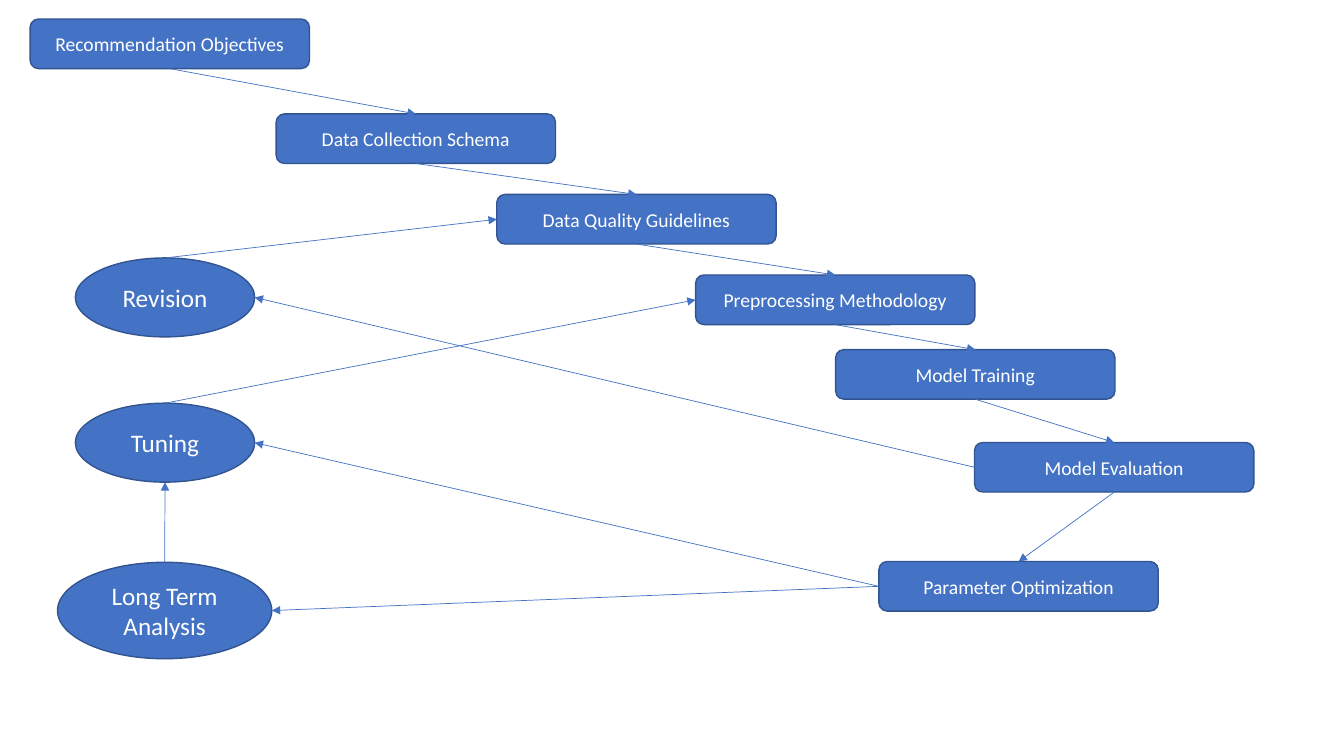
from lxml import etree
from pptx import Presentation
from pptx.dml.color import RGBColor
from pptx.enum.dml import MSO_LINE
from pptx.enum.shapes import MSO_CONNECTOR, MSO_SHAPE
from pptx.enum.text import MSO_ANCHOR, PP_ALIGN
from pptx.oxml.ns import qn
from pptx.util import Cm, Pt

STRAIGHT = MSO_CONNECTOR.STRAIGHT
ROUNDED, OVAL = MSO_SHAPE.ROUNDED_RECTANGLE, MSO_SHAPE.OVAL
SOLID, MIDDLE, CENTER = MSO_LINE.SOLID, MSO_ANCHOR.MIDDLE, PP_ALIGN.CENTER
TOP, LEFT, BOTTOM, RIGHT = range(4)
COLORS = {"fill": "4472C4", "outline": "325491", "text": "FFFFFF"}
FONT = "Calibri"
STEP_W, STEP_H = 7.04, 1.25

STEPS = [
    ("Recommendation Objectives", 0.76, 0.48),
    ("Data Collection Schema", 6.96, 2.87),
    ("Data Quality Guidelines", 12.52, 4.9),
    ("Preprocessing Methodology", 17.53, 6.93),
    ("Model Training", 21.06, 8.81),
    ("Model Evaluation", 24.56, 11.15),
    ("Parameter Optimization", 22.15, 14.15),
]
LOOPS = [
    ("Revision", 1.9, 6.5, 4.52, 1.99),
    ("Tuning", 1.9, 10.16, 4.52, 1.99),
    ("Long Term Analysis", 1.45, 14.17, 5.4, 2.43),
]
FEEDBACK = [
    ("Model Evaluation", LEFT, "Revision", RIGHT),
    ("Parameter Optimization", LEFT, "Tuning", RIGHT),
    ("Revision", TOP, "Data Quality Guidelines", LEFT),
    ("Tuning", TOP, "Preprocessing Methodology", LEFT),
    ("Parameter Optimization", LEFT, "Long Term Analysis", RIGHT),
    ("Long Term Analysis", TOP, "Tuning", BOTTOM),
]


def rgb(name):
    """Return the named colour."""
    return RGBColor.from_string(COLORS[name])


def add_node(s, kind, text, size, x, y, w, h):
    """Draw a labelled shape in the given box."""
    sp = s.shapes.add_shape(kind, Cm(x), Cm(y), Cm(w), Cm(h))
    sp.shadow.inherit = False
    sp.fill.solid()
    sp.fill.fore_color.rgb = rgb("fill")
    sp.line.color.rgb = rgb("outline")
    sp.line.width = Pt(1)
    tf = sp.text_frame
    tf.word_wrap = True
    tf.vertical_anchor = MIDDLE
    p = tf.paragraphs[0]
    p.text = text
    p.alignment = CENTER
    p.font.name = FONT
    p.font.size = Pt(size)
    p.font.color.rgb = rgb("text")
    return sp


def side_point(sp, side):
    """Return the middle of one side of a shape."""
    mid_x, mid_y = sp.left + sp.width // 2, sp.top + sp.height // 2
    return {
        TOP: (mid_x, sp.top),
        LEFT: (sp.left, mid_y),
        BOTTOM: (mid_x, sp.top + sp.height),
        RIGHT: (sp.left + sp.width, mid_y),
    }[side]


def add_arrow(s, start, start_side, end, end_side):
    """Draw an arrow between two sides, joined where the side is a shared site."""
    c = s.shapes.add_connector(
        STRAIGHT, *side_point(start, start_side), *side_point(end, end_side))
    if start.auto_shape_type == ROUNDED or start_side == TOP:
        c.begin_connect(start, start_side)
    if end.auto_shape_type == ROUNDED or end_side == TOP:
        c.end_connect(end, end_side)
    c.line.color.rgb = rgb("fill")
    c.line.width = Pt(0.5)
    c.line.dash_style = SOLID
    ln = c.line._get_or_add_ln()
    etree.SubElement(ln, qn("a:tailEnd"), type="triangle")
    etree.SubElement(ln.getparent(), qn("a:effectLst"))


def add_steps(s, x, y):
    """Draw the descending chain of steps from the given corner."""
    steps = {text: add_node(s, ROUNDED, text, 14, x + dx, y + dy, STEP_W, STEP_H)
             for text, dx, dy in STEPS}
    chain = list(steps.values())
    for start, end in zip(chain, chain[1:]):
        add_arrow(s, start, BOTTOM, end, TOP)
    return steps


def add_loops(s, x, y):
    """Draw the feedback ovals from the given corner."""
    return {text: add_node(s, OVAL, text, 18, x + dx, y + dy, w, h)
            for text, dx, dy, w, h in LOOPS}


def main():
    """Build and save the workflow slide."""
    prs = Presentation()
    prs.slide_width, prs.slide_height = Cm(33.87), Cm(19.05)
    s = prs.slides.add_slide(prs.slide_layouts[6])
    nodes = {**add_steps(s, 0, 0), **add_loops(s, 0, 0)}
    for start, start_side, end, end_side in FEEDBACK:
        add_arrow(s, nodes[start], start_side, nodes[end], end_side)
    prs.save("out.pptx")


if __name__ == "__main__":
    main()
